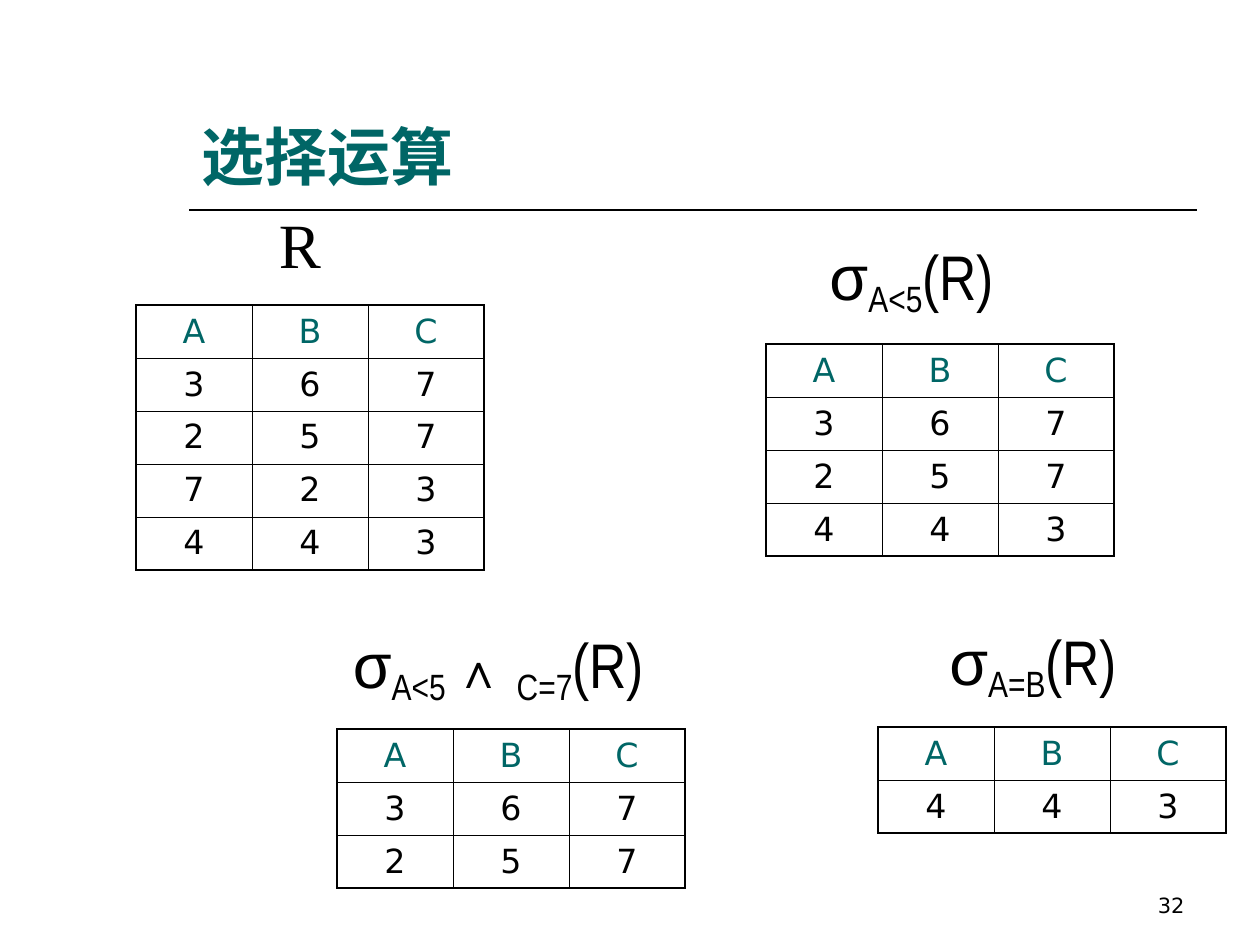
from lxml import etree
from pptx import Presentation
from pptx.dml.color import RGBColor
from pptx.enum.shapes import MSO_CONNECTOR
from pptx.enum.text import MSO_ANCHOR, MSO_AUTO_SIZE, PP_ALIGN
from pptx.oxml.ns import qn
from pptx.util import Pt

PX = 914400 / 126
BLACK = RGBColor(0x00, 0x00, 0x00)
TEAL = RGBColor(0x00, 0x66, 0x66)
COLUMN_WIDTH, ROW_HEIGHT = 116, 53
THICK, THIN = Pt(1.08), Pt(0.45)


def emu(*lengths):
    return [round(length * PX) for length in lengths]


def add_span(para, text, size, font, color=BLACK, baseline=0):
    span = para.add_run()
    span.text = text
    span.font.size = Pt(size)
    span.font.name = font
    span.font.color.rgb = color
    if baseline:
        span.font._element.set("baseline", str(baseline * 1000))
    return span


deck = Presentation()
deck.slide_width, deck.slide_height = emu(1260, 945)
page = deck.slides.add_slide(deck.slide_layouts[5])

# Title and the rule beneath it
title = page.shapes.title
title.left, title.top, title.width, title.height = emu(189, 42, 1008, 157)
title.text_frame.auto_size = MSO_AUTO_SIZE.NONE
title.text_frame.vertical_anchor = MSO_ANCHOR.BOTTOM
para = title.text_frame.paragraphs[0]
para.alignment = PP_ALIGN.LEFT
add_span(para, "选择运算", 36, "Arial", TEAL).font.bold = True

rule = page.shapes.add_connector(MSO_CONNECTOR.STRAIGHT, *emu(189, 210, 1197, 210))
rule.line.color.rgb = BLACK
rule.line.width = Pt(1)
etree.SubElement(rule._element.spPr, qn("a:effectLst"))

# Relation names: box and spans of text, size, font, baseline
sigma = ("σ", 36, "Arial", 0)
relation = ("(R) ", 36, "Arial Narrow", 0)
labels = [
    ((242, 199, 116, 88), [("R", 36, "Times New Roman", 0)]),
    ((809, 231, 220, 96), [sigma, ("A<5", 36, "Arial Narrow", -20), relation]),
    ((336, 619, 325, 96), [sigma, ("A<5 ", 36, "Arial Narrow", -20),
                           ("∧ ", 28, "Arial", 0),
                           ("C=7", 36, "Arial Narrow", -20), relation]),
    ((878, 616, 325, 96), [sigma, ("A=B", 36, "Arial Narrow", -20), relation]),
]
for place, spans in labels:
    box = page.shapes.add_textbox(*emu(*place))
    box.text_frame.word_wrap = True
    para = box.text_frame.paragraphs[0]
    para.alignment = PP_ALIGN.CENTER
    for text, size, font, baseline in spans:
        add_span(para, text, size, font, baseline=baseline)

# Relations: left, top and one string of values per row
relations = [
    (136, 305, ["367", "257", "723", "443"]),
    (766, 344, ["367", "257", "443"]),
    (337, 729, ["367", "257"]),
    (878, 727, ["443"]),
]
for left, top, tuples in relations:
    rows = ["ABC"] + tuples
    last_row, last_column = len(rows) - 1, 2
    table = page.shapes.add_table(
        len(rows), 3, *emu(left, top, 3 * COLUMN_WIDTH, len(rows) * ROW_HEIGHT)).table
    table.first_row = table.horz_banding = False
    for r, values in enumerate(rows):
        for c, value in enumerate(values):
            cell = table.cell(r, c)
            cell.vertical_anchor = MSO_ANCHOR.MIDDLE
            para = cell.text_frame.paragraphs[0]
            para.alignment = PP_ALIGN.CENTER
            add_span(para, value, 19, "DejaVu Sans", TEAL if r == 0 else BLACK)
            # Outer edges are thick, inner edges thin
            properties = cell._tc.get_or_add_tcPr()
            outer = {"L": c == 0, "R": c == last_column, "T": r == 0, "B": r == last_row}
            for side, is_outer in outer.items():
                edge = etree.SubElement(properties, qn(f"a:ln{side}"),
                                        w=str(THICK if is_outer else THIN))
                fill = etree.SubElement(edge, qn("a:solidFill"))
                etree.SubElement(fill, qn("a:srgbClr"), val=str(BLACK))
            cell.fill.background()

# Page number
box = page.shapes.add_textbox(*emu(903, 861, 294, 63))
box.text_frame.word_wrap = True
box.text_frame.vertical_anchor = MSO_ANCHOR.BOTTOM
para = box.text_frame.paragraphs[0]
para.alignment = PP_ALIGN.RIGHT
add_span(para, "32", 12, "DejaVu Sans")

deck.save("out.pptx")
